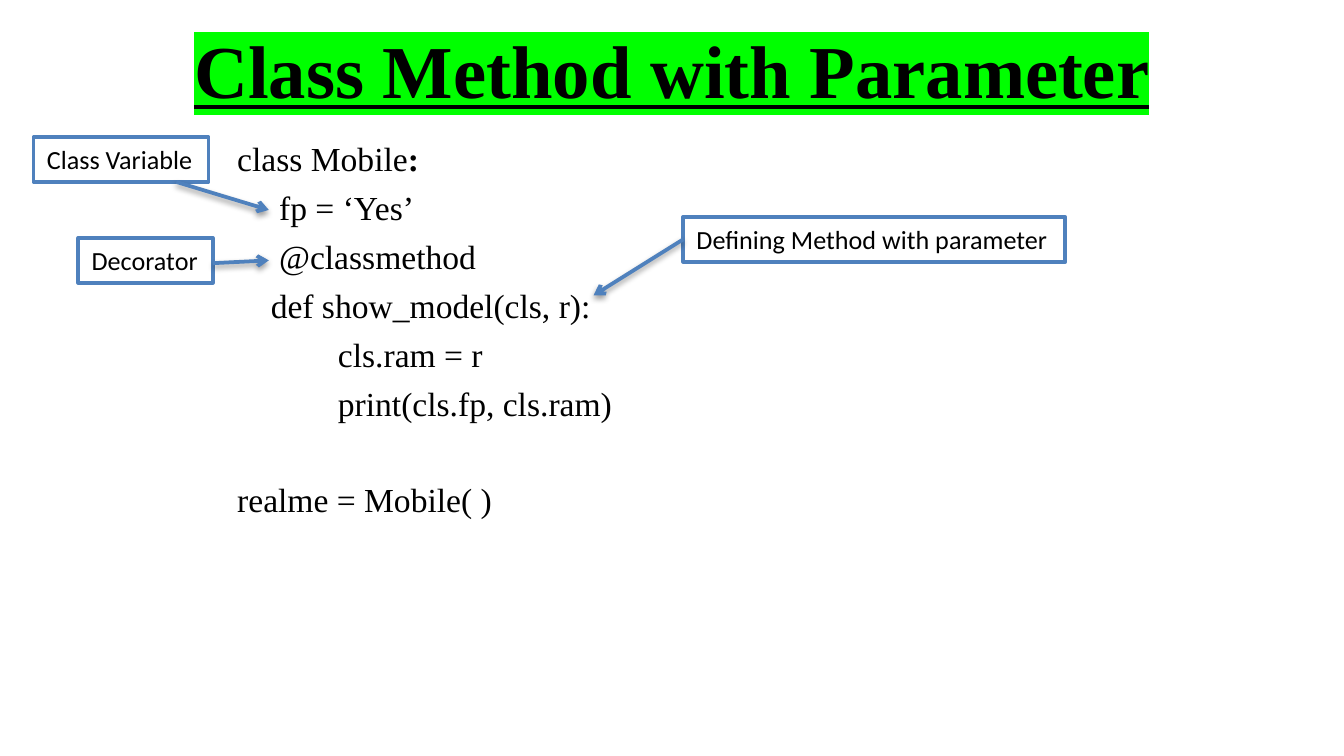
from lxml.etree import SubElement
from pptx import Presentation
from pptx.dml.color import RGBColor as Rgb
from pptx.enum.shapes import MSO_CONNECTOR as Connector, MSO_SHAPE as Shape
from pptx.enum.text import MSO_ANCHOR as Anchor, MSO_AUTO_SIZE as AutoSize, PP_ALIGN as Align
from pptx.oxml.ns import qn
from pptx.util import Pt

PX = 9525
COLORS = {"text": "000000", "marker": "00FF00", "paper": "FFFFFF", "accent": "4F81BD"}
SERIF = "Times New Roman"
GAP = 4.6
LINE = 25.3


def color(name):
    return Rgb.from_string(COLORS[name])


def style(span, font, size, bold=False):
    span.font.name = font
    span.font.size = Pt(size)
    span.font.bold = bold
    span.font.color.rgb = color("text")


deck = Presentation()
deck.slide_width = 960 * PX
deck.slide_height = 540 * PX
page = deck.slides.add_slide(deck.slide_layouts[6])

title = page.shapes.add_textbox(48 * PX, 4 * PX, 864 * PX, 90 * PX)
title.text_frame.word_wrap = True
title.text_frame.vertical_anchor = Anchor.MIDDLE
title.text_frame.text = "Class Method with Parameter"
para = title.text_frame.paragraphs[0]
para.alignment = Align.CENTER
span = para.runs[0]
style(span, SERIF, 40, True)
span.font.underline = True
highlight = SubElement(span.font._element, qn("a:highlight"))
SubElement(highlight, qn("a:srgbClr"), val=COLORS["marker"])
span.font._element.find(qn("a:latin")).addprevious(highlight)

code = page.shapes.add_textbox(160 * PX, 94 * PX, 496 * PX, 356 * PX)
code.text_frame.word_wrap = True
code.text_frame.text = "\n".join([
    "class Mobile",
    "     fp = ‘Yes’",
    "     @classmethod",
    "    def show_model(cls, r):",
    "            cls.ram = r",
    "            print(cls.fp, cls.ram)",
    "realme = Mobile( )",
])
lines = code.text_frame.paragraphs
for para in lines:
    style(para.runs[0], SERIF, 18)
for para in lines[1:]:
    para.space_before = Pt(GAP)
lines[-1].space_before = Pt(GAP + LINE)
colon = lines[0].add_run()
colon.text = ":"
style(colon, SERIF, 18, True)

callouts = [
    ("Defining Method with parameter", (488, 155, 273), (488, 171, 424, 211)),
    ("Class Variable", (24, 98, 125), (126, 130, 192, 150)),
    ("Decorator", (56, 170, 96), (152, 188, 192, 186)),
]
for label, (left, top, width), ends in callouts:
    box = page.shapes.add_shape(Shape.RECTANGLE, left * PX, top * PX, width * PX, 32 * PX)
    box.shadow.inherit = False
    box.fill.solid()
    box.fill.fore_color.rgb = color("paper")
    box.line.color.rgb = color("accent")
    box.line.width = Pt(2)
    frame = box.text_frame
    frame.word_wrap = False
    frame.auto_size = AutoSize.SHAPE_TO_FIT_TEXT
    frame.vertical_anchor = Anchor.TOP
    frame.text = label
    frame.paragraphs[0].alignment = Align.LEFT
    style(frame.paragraphs[0].runs[0], "Calibri", 14)

    arrow = page.shapes.add_connector(Connector.STRAIGHT, *[end * PX for end in ends])
    arrow.line.color.rgb = color("accent")
    arrow.line.width = Pt(2)
    SubElement(arrow.line._get_or_add_ln(), qn("a:tailEnd"), type="arrow")
    effects = SubElement(arrow._element.spPr, qn("a:effectLst"))
    shadow = SubElement(effects, qn("a:outerShdw"), blurRad="40000", dist="20000",
                        dir="5400000", rotWithShape="0")
    tint = SubElement(shadow, qn("a:srgbClr"), val=COLORS["text"])
    SubElement(tint, qn("a:alpha"), val="38000")

deck.save("out.pptx")
